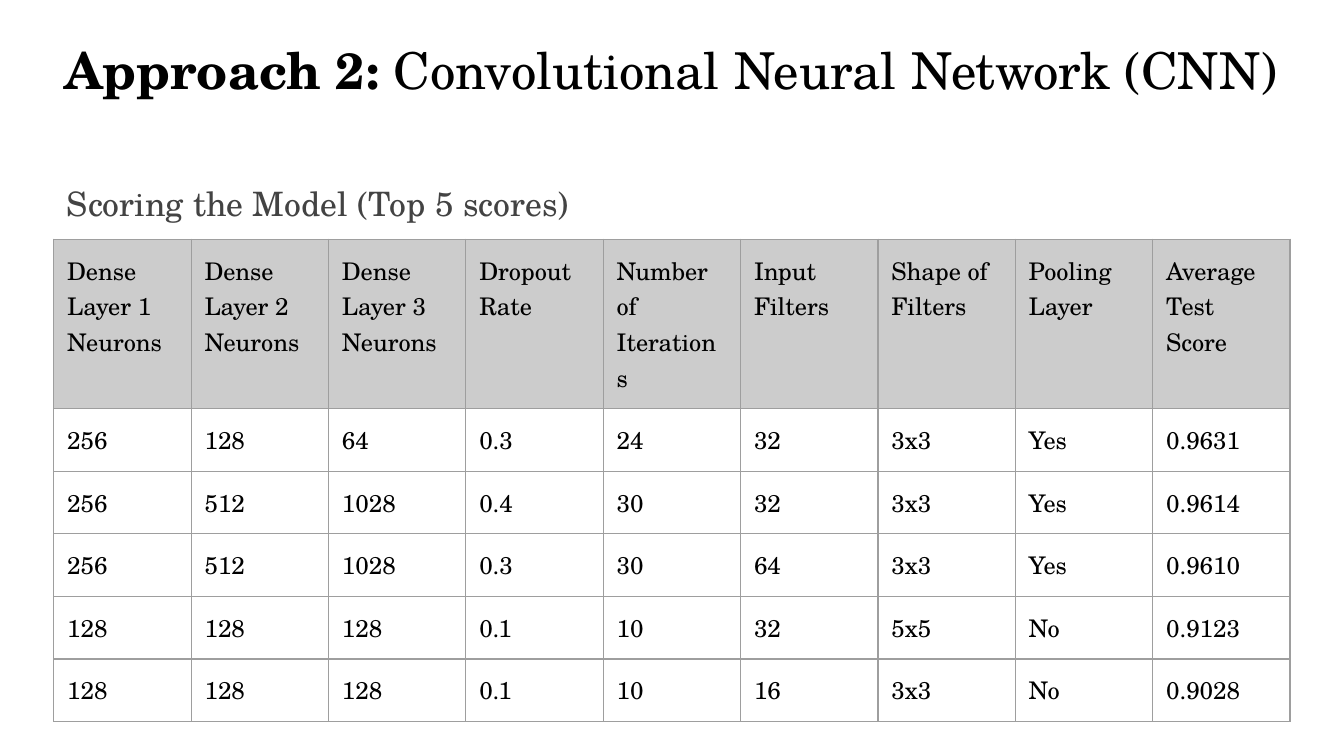
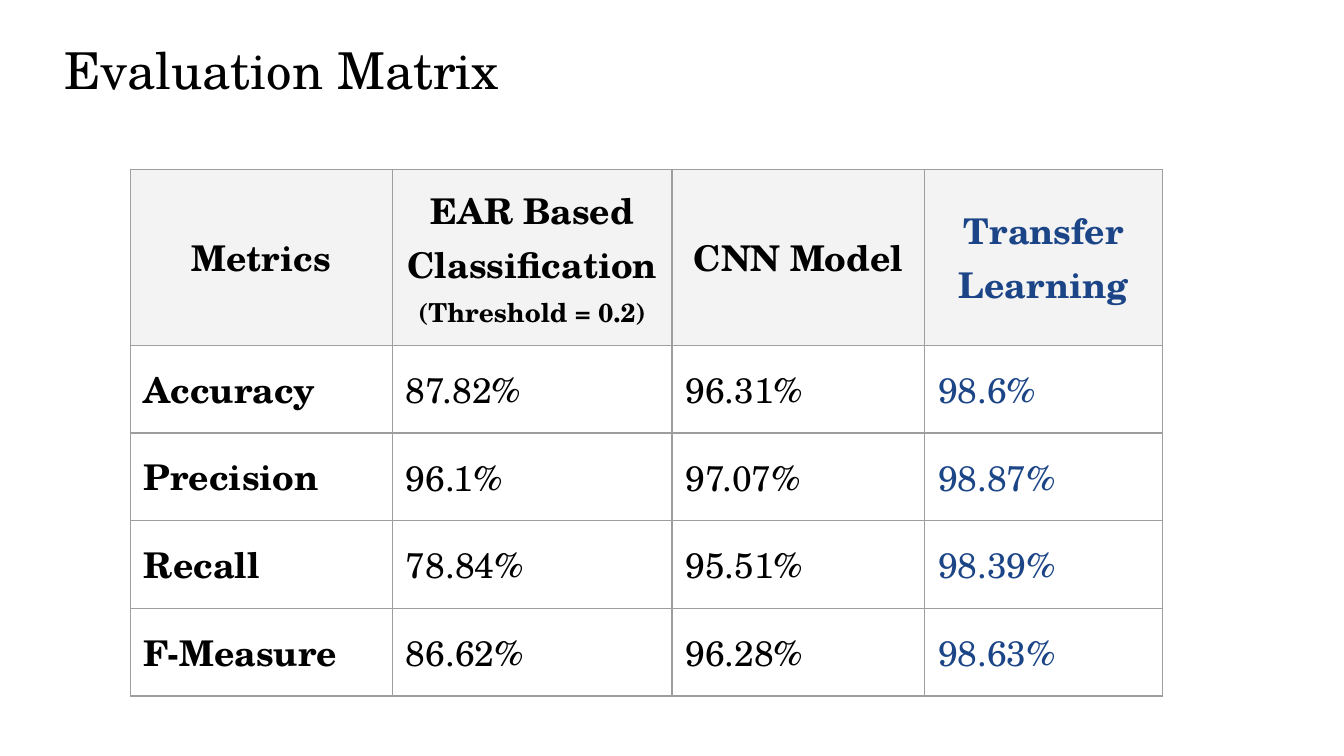
from lxml.etree import SubElement
from pptx import Presentation
from pptx.dml.color import RGBColor
from pptx.enum.text import MSO_ANCHOR, PP_ALIGN
from pptx.oxml.ns import qn
from pptx.util import Inches, Pt

FONT = "TeX Gyre Schola"
BLACK = RGBColor(0x00, 0x00, 0x00)
DARK_GREY = RGBColor(0x43, 0x43, 0x43)
BLUE = RGBColor(0x1C, 0x45, 0x87)
HEADER_GREY = RGBColor(0xCC, 0xCC, 0xCC)
HEADER_PALE = RGBColor(0xF3, 0xF3, 0xF3)
BORDER = RGBColor(0x9E, 0x9E, 0x9E)
INSET = Inches(0.1)


def add_text(slide, left, top, width, height, runs, size, color=BLACK):
    """Add a text box whose runs are (text, bold) pairs; return its paragraph."""
    frame = slide.shapes.add_textbox(
        Inches(left), Inches(top), Inches(width), Inches(height)).text_frame
    frame.word_wrap = True
    frame.margin_left = frame.margin_right = INSET
    frame.margin_top = frame.margin_bottom = INSET
    paragraph = frame.paragraphs[0]
    for text, bold in runs:
        run = paragraph.add_run()
        run.text = text
        run.font.name, run.font.size = FONT, Pt(size)
        run.font.bold, run.font.color.rgb = bold, color
    return paragraph


def add_grid(slide, left, top, widths, heights, rows, size, header_fill):
    """Add a bordered table with a filled header row; return the table."""
    table = slide.shapes.add_table(
        len(rows), len(widths), Inches(left), Inches(top),
        Inches(sum(widths)), Inches(sum(heights))).table
    table.first_row = table.horz_banding = False
    for column, width in zip(table.columns, widths):
        column.width = Inches(width)
    for row, height in zip(table.rows, heights):
        row.height = Inches(height)
    for r, values in enumerate(rows):
        for c, value in enumerate(values):
            cell = table.cell(r, c)
            cell.margin_left = cell.margin_right = INSET
            cell.margin_top = cell.margin_bottom = INSET
            cell.text_frame.text = value
            font = cell.text_frame.paragraphs[0].runs[0].font
            font.name, font.size, font.color.rgb = FONT, Pt(size), BLACK
            for side in ("a:lnL", "a:lnR", "a:lnT", "a:lnB"):
                line = SubElement(cell._tc.get_or_add_tcPr(), qn(side), w=str(Pt(0.75)))
                paint = SubElement(line, qn("a:solidFill"))
                SubElement(paint, qn("a:srgbClr"), val=str(BORDER))
            if r == 0:
                cell.fill.solid()
                cell.fill.fore_color.rgb = header_fill
            else:
                cell.fill.background()
    return table


prs = Presentation()
prs.slide_width, prs.slide_height = Inches(10), Inches(10 * 9 / 16)
blank = prs.slide_layouts[6]
TITLE_BOX = (0.38, 0.19, 9.72, 1.2)
TITLE_SIZE = 27.2

# CNN scores
scores_slide = prs.slides.add_slide(blank)
add_text(scores_slide, *TITLE_BOX,
         [("Approach 2:", True), (" Convolutional Neural Network (CNN)", False)],
         TITLE_SIZE)
scores = [
    ["Dense Layer 1 Neurons", "Dense Layer 2 Neurons", "Dense Layer 3 Neurons",
     "Dropout Rate", "Number of Iterations", "Input Filters",
     "Shape of Filters", "Pooling Layer", "Average Test Score"],
    ["256", "128", "64", "0.3", "24", "32", "3x3", "Yes", "0.9631"],
    ["256", "512", "1028", "0.4", "30", "32", "3x3", "Yes", "0.9614"],
    ["256", "512", "1028", "0.3", "30", "64", "3x3", "Yes", "0.9610"],
    ["128", "128", "128", "0.1", "10", "32", "5x5", "No", "0.9123"],
    ["128", "128", "128", "0.1", "10", "16", "3x3", "No", "0.9028"],
]
add_grid(scores_slide, 0.4, 1.78, [9.2 / 9] * 9, [1.26] + [2.33 / 5] * 5,
         scores, 13, HEADER_GREY)
subtitle = add_text(scores_slide, 0.4, 1.11, 4.3, 0.5,
                    [("Scoring the Model (Top 5 scores)", False)], 18, DARK_GREY)
subtitle.line_spacing = 1.5
subtitle.space_after = Pt(10)

# Comparison of the three approaches
matrix_slide = prs.slides.add_slide(blank)
metrics = [
    ["Metrics", "EAR Based Classification ", "CNN Model", "Transfer Learning"],
    ["Accuracy", "87.82%", "96.31%", "98.6%"],
    ["Precision", "96.1%", "97.07%", "98.87%"],
    ["Recall", "78.84%", "95.51%", "98.39%"],
    ["F-Measure", "86.62%", "96.28%", "98.63%"],
]
matrix = add_grid(matrix_slide, 0.97, 1.26, [1.95, 2.08, 1.88, 1.77],
                  [1.31] + [2.61 / 4] * 4, metrics, 19, HEADER_PALE)
threshold = matrix.cell(0, 1).text_frame.paragraphs[0].add_run()
threshold.text = "(Threshold = 0.2)"
threshold.font.name, threshold.font.size = FONT, Pt(14)
threshold.font.color.rgb = BLACK
for r, row in enumerate(matrix.rows):
    for c, cell in enumerate(row.cells):
        cell.vertical_anchor = MSO_ANCHOR.MIDDLE
        paragraph = cell.text_frame.paragraphs[0]
        if r == 0:
            paragraph.alignment = PP_ALIGN.CENTER
        for run in paragraph.runs:
            run.font.bold = r == 0 or c == 0
            if c == 3:
                run.font.color.rgb = BLUE
add_text(matrix_slide, *TITLE_BOX, [("Evaluation Matrix", False)], TITLE_SIZE)

prs.save("out.pptx")
